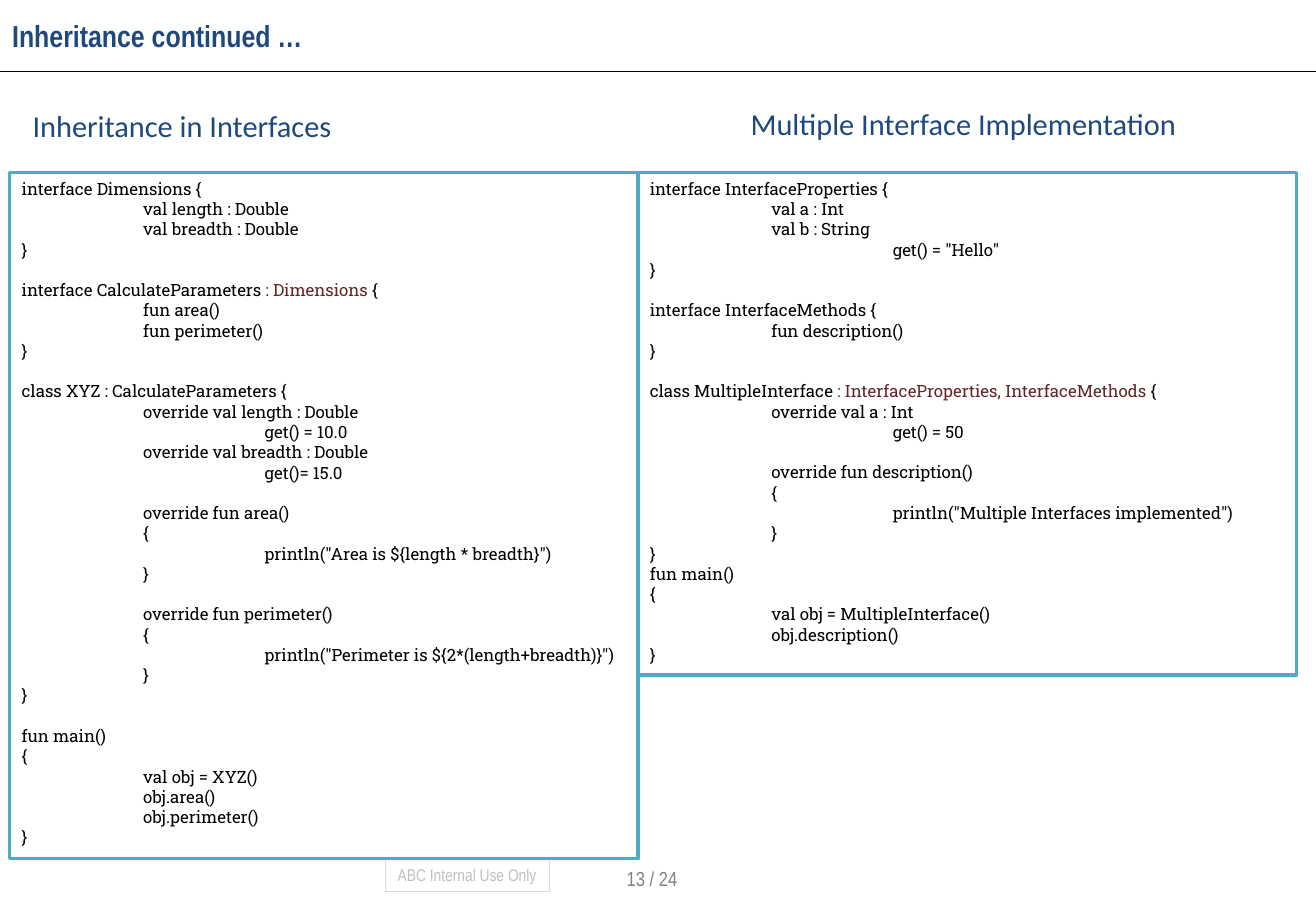
from pptx import Presentation
from pptx.dml.color import RGBColor
from pptx.enum.shapes import MSO_CONNECTOR, MSO_SHAPE
from pptx.enum.text import MSO_ANCHOR, PP_ALIGN
from pptx.util import Pt
from lxml.etree import SubElement
from pptx.oxml.ns import qn

NAVY = RGBColor(0x1F, 0x49, 0x7D)
TEAL = RGBColor(0x4B, 0xAC, 0xC6)
MAROON = RGBColor(0x63, 0x25, 0x23)
BLACK = RGBColor(0, 0, 0)
WHITE = RGBColor(255, 255, 255)
GRAY = RGBColor(0x80, 0x80, 0x80)
SILVER = RGBColor(0xBF, 0xBF, 0xBF)
PALE = RGBColor(0xD9, 0xD9, 0xD9)

NARROW, SANS, SLAB = "Arial Narrow", "Calibri", "Roboto Slab"
WIDTH, HEIGHT = 780, 540
TOP, TAB, PITCH = 102.2, 72, 12

TITLE = "Inheritance continued …"
NOTICE = "ABC Internal Use Only"
PAGE = "13 / 24"
HEADS = [
    ("Inheritance in Interfaces", (12.2, 59.8, 193.7, 28.8)),
    ("Multiple Interface Implementation", (437.8, 59, 275, 28.8)),
]

SINGLE = """interface Dimensions {
\tval length : Double
\tval breadth : Double
}

interface CalculateParameters |: Dimensions |{
\tfun area()
\tfun perimeter()
}

class XYZ : CalculateParameters {
\toverride val length : Double
\t\tget() = 10.0
\toverride val breadth : Double
\t\tget()= 15.0

\toverride fun area()
\t{
\t\tprintln("Area is ${length * breadth}")
\t}

\toverride fun perimeter()
\t{
\t\tprintln("Perimeter is ${2*(length+breadth)}")
\t}
}

fun main()
{
\tval obj = XYZ()
\tobj.area()
\tobj.perimeter()
}"""

MULTI = """interface InterfaceProperties {
\tval a : Int
\tval b : String
\t\tget() = "Hello"
}

interface InterfaceMethods {
\tfun description()
}

class MultipleInterface |: InterfaceProperties, InterfaceMethods |{
\toverride val a : Int
\t\tget() = 50

\toverride fun description()
\t{
\t\tprintln("Multiple Interfaces implemented")
\t}
}
fun main()
{
\tval obj = MultipleInterface()
\tobj.description()
}"""

PANELS = [(SINGLE, 372.3, 406.8), (MULTI, 390.2, 298.1)]


def style(item, face, size, color):
    item.font.name = face
    item.font.size = Pt(size)
    item.font.color.rgb = color


def label(text, box, face, size, color):
    shape = slide.shapes.add_textbox(*map(Pt, box))
    shape.text_frame.word_wrap = False
    line = shape.text_frame.paragraphs[0]
    line.text = text
    style(line, face, size, color)


def frame(box, edge, weight):
    shape = slide.shapes.add_shape(MSO_SHAPE.RECTANGLE, *map(Pt, box))
    shape.shadow.inherit = False
    shape.line.color.rgb = edge
    shape.line.width = Pt(weight)
    return shape


def panel(code, box):
    shape = frame(box, TEAL, 2)
    shape.fill.solid()
    shape.fill.fore_color.rgb = WHITE
    body = shape.text_frame
    body.word_wrap = True
    body.vertical_anchor = MSO_ANCHOR.TOP
    line = body.paragraphs[0]
    for group, block in enumerate(code.split("\n\n")):
        for row, text in enumerate(block.split("\n")):
            if group or row:
                line = body.add_paragraph()
            line.alignment = PP_ALIGN.LEFT
            if group and row == 0:
                line.space_before = Pt(PITCH)
            plain = text.lstrip("\t")
            depth = len(text) - len(plain)
            if depth:
                line._p.get_or_add_pPr().set("marL", str(Pt(TAB * depth)))
            style(line, SLAB, 10, BLACK)
            for order, part in enumerate(plain.split("|")):
                run = line.add_run()
                run.text = part
                style(run, SLAB, 10, MAROON if order % 2 else BLACK)


deck = Presentation()
deck.slide_width, deck.slide_height = Pt(WIDTH), Pt(HEIGHT)
slide = deck.slides.add_slide(deck.slide_layouts[5])

title = slide.shapes.title
title.left, title.top, title.width, title.height = map(Pt, (0, 7.9, 702, 26.6))
title.text_frame.text = TITLE
title.text_frame.vertical_anchor = MSO_ANCHOR.MIDDLE
head = title.text_frame.paragraphs[0]
head.alignment = PP_ALIGN.LEFT
head.font.bold = True
style(head, NARROW, 18, NAVY)

rule = slide.shapes.add_connector(
    MSO_CONNECTOR.STRAIGHT, Pt(0), Pt(42.5), Pt(WIDTH), Pt(42.5))
rule.line.color.rgb = BLACK
rule.line.width = Pt(0.75)
SubElement(rule._element.spPr, qn("a:effectLst"))

stamp = frame((228.2, 509, 97.2, 19.4), PALE, 0.5)
stamp.fill.background()
stamp.text_frame.word_wrap = False
note = stamp.text_frame.paragraphs[0]
note.text = NOTICE
style(note, NARROW, 10, SILVER)
label(PAGE, (364.3, 509.8, 46, 21.6), NARROW, 12, GRAY)

for text, box in HEADS:
    label(text, box, SANS, 18, NAVY)

left = 5.8
for code, width, height in PANELS:
    panel(code, (left, TOP, width, height))
    left += width

deck.save("out.pptx")
